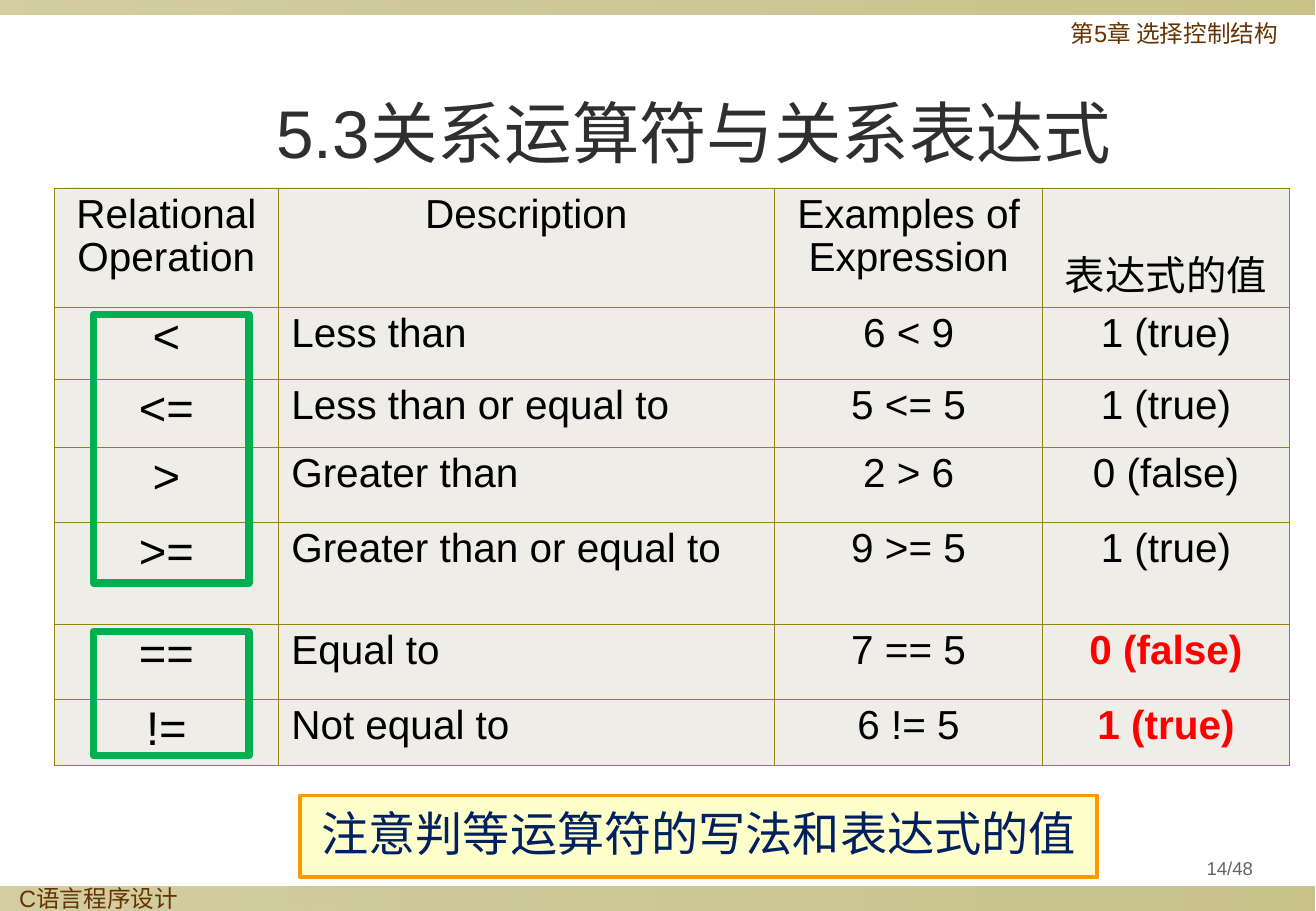
from lxml import etree
from pptx import Presentation
from pptx import util as u
from pptx.dml.color import RGBColor
from pptx.enum import shapes, text
from pptx.oxml.ns import qn

PX = 9144
HUE = dict(olive="918415", sand="DCD9CC", brown="663300", ink="2F2F2F",
           cell="EEEDE7", black="000000", red="FF0000", green="00B050",
           cream="FFFFCC", amber="FF9900", navy="002060", gray="636363")
SANS, HAN = "Arial", "Noto Sans CJK SC"
MID, TOP = text.MSO_ANCHOR.MIDDLE, text.MSO_ANCHOR.TOP
LEFT, MIDDLE = text.PP_ALIGN.LEFT, text.PP_ALIGN.CENTER
HEAD = ["Relational Operation", "Description", "Examples of Expression", "表达式的值"]
ROWS = [
    ["<", "Less than", "6 < 9", "1 (true)"],
    ["<=", "Less than or equal to", "5 <= 5", "1 (true)"],
    [">", "Greater than", "2 > 6", "0 (false)"],
    [">=", "Greater than or equal to", "9 >= 5", "1 (true)"],
    ["==", "Equal to", "7 == 5", "0 (false)"],
    ["!=", "Not equal to", "6 != 5", "1 (true)"],
]
COLS = [184, 409, 221, 203]
TALL = [98, 59, 56, 62, 84, 62, 54]


def emu(*nums):
    """Turn px lengths into EMU."""
    return [u.Emu(n * PX) for n in nums]


def rgb(name):
    """Look up a colour by name."""
    return RGBColor.from_string(HUE[name])


def write(frame, words, size=24, hue="black", font=SANS, bold=False,
          align=LEFT, lead=0.9):
    """Put one formatted paragraph into a text frame."""
    para = frame.paragraphs[0]
    para.alignment, para.line_spacing = align, lead
    run = para.add_run()
    run.text = words
    run.font.size, run.font.name, run.font.bold = u.Pt(size), font, bold
    run.font.color.rgb = rgb(hue)
    etree.SubElement(run.font._element, qn("a:ea"), typeface=HAN)


def rect(slide, box, line=None, width=1):
    """Add an unfilled rectangle."""
    shape = slide.shapes.add_shape(shapes.MSO_SHAPE.RECTANGLE, *emu(*box))
    shape.shadow.inherit = False
    shape.fill.background()
    if line:
        shape.line.color.rgb = rgb(line)
        shape.line.width = u.Pt(width)
    else:
        shape.line.fill.background()
    return shape


def band(slide, box, hue="olive", fade=(40, 50)):
    """Add a strip with a see-through gradient."""
    shape = rect(slide, box)
    shape.fill.gradient()
    shape.fill.gradient_angle = 0
    for stop, alpha in zip(shape.fill.gradient_stops, fade):
        stop.color.rgb = rgb(hue)
    for tint, alpha in zip(shape._element.iter(qn("a:srgbClr")), fade):
        etree.SubElement(tint, qn("a:alpha"), val=str(alpha * 1000))


def label(slide, box, words, side=10, anchor=TOP, **look):
    """Add a text box."""
    frame = slide.shapes.add_textbox(*emu(*box)).text_frame
    frame.word_wrap, frame.vertical_anchor = True, anchor
    frame.margin_left, frame.margin_right = emu(side, side)
    write(frame, words, **look)


def title(slide, box, words):
    """Place and fill the title placeholder."""
    head = slide.shapes.title
    head.left, head.top, head.width, head.height = emu(*box)
    frame = head.text_frame
    frame.auto_size = text.MSO_AUTO_SIZE.NONE
    frame.vertical_anchor = MID
    write(frame, words, size=40, hue="ink", align=MIDDLE, lead=1.0)


def edge(cell):
    """Draw thin borders around a cell."""
    props = cell._tc.get_or_add_tcPr()
    for side in ("lnL", "lnR", "lnT", "lnB"):
        line = etree.SubElement(props, qn("a:" + side), w=str(u.Pt(0.45)))
        fill = etree.SubElement(line, qn("a:solidFill"))
        etree.SubElement(fill, qn("a:srgbClr"), val=HUE["olive"])


def grid(slide, box):
    """Build the operator table and frame its two groups."""
    x, y, wide, high = box
    table = slide.shapes.add_table(len(TALL), len(COLS), *emu(*box)).table
    table.first_row = table.horz_banding = False
    for col, size in zip(table.columns, COLS):
        col.width = u.Emu(size * PX)
    for row, size in zip(table.rows, TALL):
        row.height = u.Emu(size * PX)
    for r, row in enumerate([HEAD] + ROWS):
        for c, words in enumerate(row):
            cell = table.cell(r, c)
            edge(cell)
            cell.fill.solid()
            cell.fill.fore_color.rgb = rgb("cell")
            cell.margin_left, cell.margin_right = emu(11, 11)
            cell.margin_top, cell.margin_bottom = emu(5, 5)
            hot = r > 4 and c == 3
            write(cell.text_frame, words, size=28 if r and c == 0 else 24,
                  hue="red" if hot else "black", bold=hot, lead=0.95,
                  align=LEFT if r and c == 1 else MIDDLE)
    table.cell(0, 3).vertical_anchor = text.MSO_ANCHOR.BOTTOM
    for down, tall in ((104, 221), (365, 102)):
        rect(slide, (x + 32, y + down, 128, tall), "green", 4.5)


def note(slide, box, words):
    """Add the highlighted reminder."""
    shape = rect(slide, box, "amber", 2.25)
    shape.fill.solid()
    shape.fill.fore_color.rgb = rgb("cream")
    frame = shape.text_frame
    frame.word_wrap, frame.vertical_anchor = False, MID
    write(frame, words, size=28, hue="navy", font=HAN, align=MIDDLE)


def trim(slide, box):
    """Add the bands and running labels."""
    x, y, wide, high = box
    band(slide, (x, y + high - 20, wide, 20))
    band(slide, (x, y, wide, 12))
    band(slide, (x + 54, y + 154, 975, 2), "sand", (50, 20))
    label(slide, (x + 872, y + 13, 205, 39), "第5章 选择控制结构",
          size=14, hue="brown")
    label(slide, (x + 6, y + high - 25, 235, 39), "C语言程序设计",
          size=14, hue="brown")


def main():
    """Build and save the slide."""
    deck = Presentation()
    deck.slide_width, deck.slide_height = emu(1084, 750)
    slide = deck.slides.add_slide(deck.slide_layouts[5])
    trim(slide, (0, 0, 1083, 750))
    title(slide, (81, 62, 981, 92), "5.3关系运算符与关系表达式")
    grid(slide, (45, 155, sum(COLS), sum(TALL)))
    note(slide, (247, 655, 657, 67), "注意判等运算符的写法和表达式的值")
    label(slide, (959, 700, 108, 31), "14/48", side=5, anchor=MID,
          size=11, hue="gray", align=MIDDLE)
    deck.save("out.pptx")


if __name__ == "__main__":
    main()
